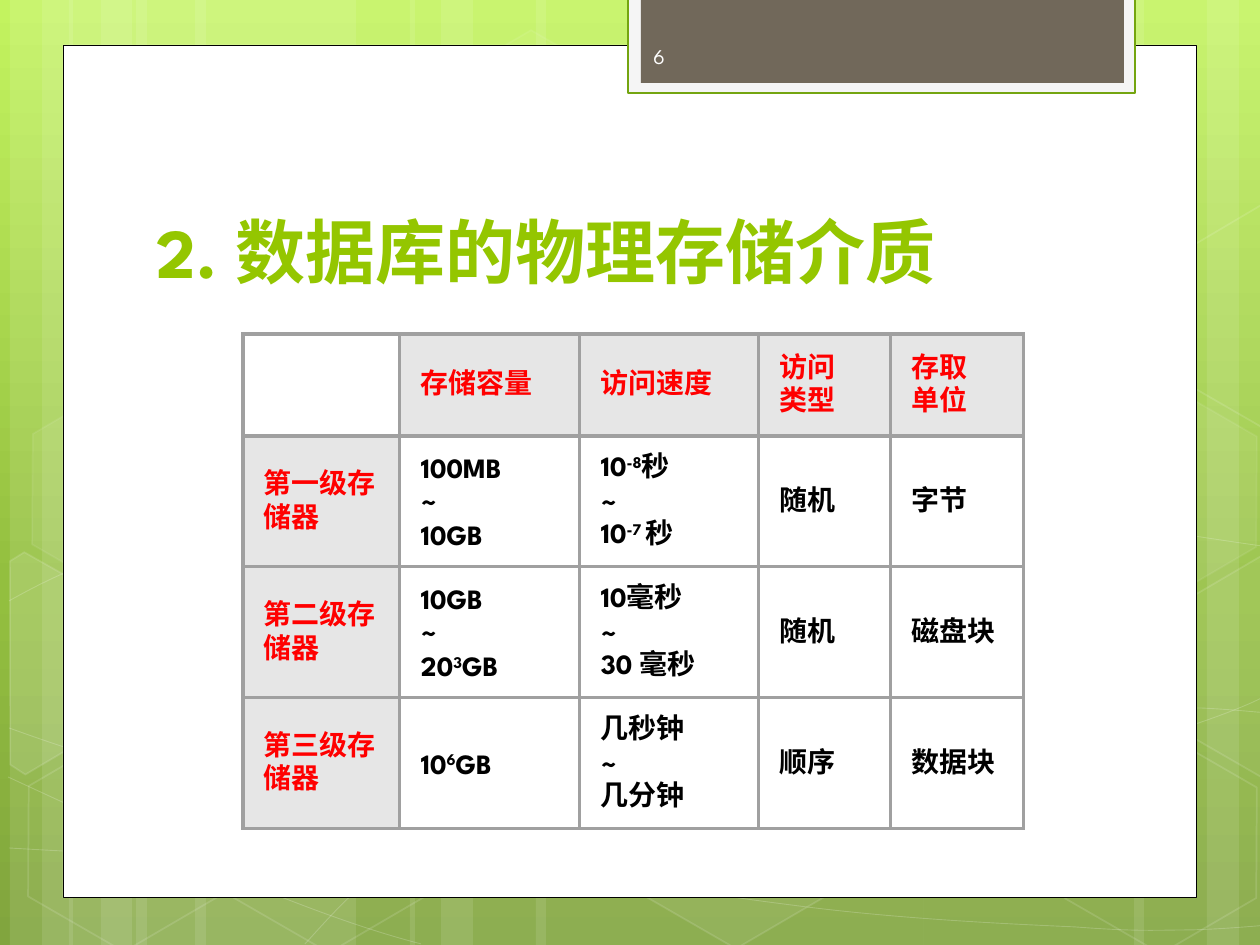
"""Builds the slide on physical storage media for databases."""
import math
from copy import deepcopy
from dataclasses import dataclass

from lxml import etree
from pptx import Presentation
from pptx import util as u
from pptx.dml.color import RGBColor
from pptx.enum import shapes, text
from pptx.oxml import ns

PX = 914400 // 126


@dataclass(frozen=True)
class Theme:
    """Colours, fonts and type sizes of the slide."""
    sky: tuple = ((0, "C3F35F"), (0.62, "93BF3F"), (1, "81A53E"))
    white: str = "FFFFFF"
    black: str = "000000"
    tab: str = "F5F5F5"
    tab_edge: str = "74A510"
    tab_core: str = "71685A"
    title: str = "94C600"
    number: str = "FEFEFE"
    label: str = "FF0000"
    label_fill: str = "E6E6E6"
    grid: str = "A0A0A0"
    font: str = "League Spartan"
    title_font: str = "Times New Roman"
    title_size: int = 40
    number_size: int = 12
    cell_size: int = 16
    cell_leading: float = 19.2


THEME = Theme()

STRIPES = [(136, 220), (10, 63), (42, 105), (195, 220), (69, 63), (101, 105),
           (924, 220), (1207, 63), (1134, 105), (536, 388), (410, 63), (441, 105)]

WAVES = [
    [(9, 848), (77, 852), (145, 856), (239, 854), (334, 853), (451, 850), (577, 838),
     (703, 825), (882, 801), (998, 777), (1113, 753), (1231, 716), (1269, 694)],
    [(9, 601), (45, 581), (82, 562), (152, 543), (224, 524), (326, 496), (437, 488),
     (549, 479), (685, 478), (824, 488), (963, 498), (1193, 537), (1269, 547)],
    [(8, 777), (159, 847), (311, 916), (421, 944)],
    [(9, 728), (48, 742), (88, 756), (161, 776), (234, 795), (344, 827), (450, 848),
     (554, 869), (687, 892), (791, 905), (896, 919), (1008, 924), (1075, 927),
     (1140, 932), (1158, 930), (1191, 930), (1223, 929), (1246, 927), (1269, 925)],
    [(305, 944), (328, 919), (350, 893), (381, 871), (411, 848), (454, 823), (489, 805),
     (524, 788), (546, 780), (592, 767), (638, 755), (722, 737), (766, 728),
     (811, 720), (818, 720), (857, 717), (896, 713), (958, 709), (1000, 708),
     (1045, 707), (1116, 708), (1116, 708), (1116, 708), (1201, 708), (1201, 708),
     (1223, 709), (1245, 711), (1256, 712), (1268, 713), (1264, 712), (1268, 713)],
]

TILT = 30
HEXAGONS = [(421, 45, 4, 8), (626, 742, 6, 12), (14, 745, 0, 12), (18, 393, 7, 8),
            (219, 746, 0, 12), (949, 571, 10, 12), (1051, 747, 0, 12), (1051, 396, 7, 8)]

CUT_HEXAGONS = [
    ((45, 674), [(10, 561), (24, 552), (121, 607), (120, 718), (25, 774), (10, 765)], 10),
    ((1241, 655),
     [(1167, 611), (1261, 556), (1271, 562), (1271, 772), (1263, 777), (1167, 722)], 4),
    ((1241, 304),
     [(1167, 261), (1261, 205), (1273, 212), (1271, 422), (1263, 427), (1167, 372)], 0),
]

COLUMNS = (157, 180, 179, 132, 133)
ROWS = (102, 131, 131, 131)
MEDIA = [
    ["", "存储容量", "访问速度", "访问\n类型", "存取\n单位"],
    ["第一级存储器", "100MB\n~\n10GB", "10^-8^秒\n~\n10^-7 ^秒", "随机", "字节"],
    ["第二级存储器", "10GB\n~\n20^3^GB", "10毫秒\n~\n30 毫秒", "随机", "磁盘块"],
    ["第三级存储器", "10^6^GB", "几秒钟\n~\n几分钟", "顺序", "数据块"],
]


def paint(fill, colour, opacity=100):
    """Fill with a solid colour at a percentage of opacity, or with nothing."""
    if not colour or not opacity:
        fill.background()
        return
    fill.solid()
    fill.fore_color.rgb = RGBColor.from_string(colour)
    if opacity < 100:
        tint = fill._xPr.find(ns.qn("a:solidFill"))[0]
        etree.SubElement(tint, ns.qn("a:alpha")).set("val", str(opacity * 1000))


def style(shape, fill, opacity=100, edge=None, width=1, edge_opacity=100):
    """Set the fill and outline of a shape and drop its shadow."""
    shape.shadow.inherit = False
    paint(shape.fill, fill, opacity)
    paint(shape.line.fill, edge, edge_opacity)
    if edge:
        shape.line.width = u.Pt(width)


def add_block(slide, box, fill, kind=shapes.MSO_SHAPE.RECTANGLE, **look):
    """Add a preset shape at a box given in px."""
    block = slide.shapes.add_shape(kind, *(n * PX for n in box))
    style(block, fill, **look)
    return block


def add_outline(slide, points, close, fill=None, **look):
    """Add a freeform through points given in px."""
    builder = slide.shapes.build_freeform(*points[0], scale=PX)
    builder.add_line_segments(points[1:], close=close)
    outline = builder.convert_to_shape()
    style(outline, fill, **look)
    return outline


def add_wave(slide, knots, **look):
    """Add an open chain of cubic curves, keeping straight stretches as lines."""
    wave = add_outline(slide, knots[::3], False, **look)
    track = next(wave._element.iter(ns.qn("a:path")))
    left, top = (min(knot[axis] for knot in knots[::3]) for axis in (0, 1))
    for index, stretch in enumerate(track.findall(ns.qn("a:lnTo"))):
        start, *controls = knots[3 * index:3 * index + 3]
        if controls[0] == start:
            continue
        stretch.tag = ns.qn("a:cubicBezTo")
        for place, (x, y) in enumerate(controls):
            control = etree.Element(ns.qn("a:pt"), x=str(x - left), y=str(y - top))
            stretch.insert(place, control)


def untilt(point, centre):
    """Turn a point back by the tilt around a centre."""
    x, y = point[0] - centre[0], point[1] - centre[1]
    cos, sin = math.cos(math.radians(TILT)), math.sin(math.radians(TILT))
    return round(centre[0] + x * cos + y * sin), round(centre[1] - x * sin + y * cos)


def add_run(paragraph, words, size, colour, font=THEME.font, bold=False, raised=False):
    """Add one run of text, superscript if raised."""
    run = paragraph.add_run()
    run.text = words
    run.font.size, run.font.bold, run.font.name = u.Pt(size), bold, font
    run.font.color.rgb = RGBColor.from_string(colour)
    if raised:
        run._r.get_or_add_rPr().set("baseline", "30000")


def add_words(slide, box, anchor):
    """Add a wrapping text box and return its first paragraph."""
    frame = slide.shapes.add_textbox(*(n * PX for n in box)).text_frame
    frame.word_wrap = True
    frame.vertical_anchor = anchor
    return frame.paragraphs[0]


def set_background(slide):
    """Lay the vertical green gradient behind the slide."""
    fill = slide.background.fill
    fill.gradient()
    fill.gradient_angle = 270
    stops = fill.gradient_stops._gsLst
    stops.insert(1, deepcopy(stops[0]))
    for stop, (position, colour) in zip(fill.gradient_stops, THEME.sky):
        stop.position = position
        stop.color.rgb = RGBColor.from_string(colour)


def add_decor(slide):
    """Add the translucent stripes, waves and hexagons."""
    white = THEME.white
    for left, width in STRIPES:
        add_block(slide, (left, 0, width, 945), white, opacity=10)
    for knots in WAVES:
        add_wave(slide, knots, edge=white, width=0.5, edge_opacity=20)
    for left, top, opacity, edge_opacity in HEXAGONS:
        hexagon = add_block(slide, (left, top, 220, 192), white, shapes.MSO_SHAPE.HEXAGON,
                            opacity=opacity, edge=white, edge_opacity=edge_opacity)
        hexagon.adjustments[0] = 0.285
        hexagon.rotation = TILT
    for centre, corners, opacity in CUT_HEXAGONS:
        upright = [untilt(corner, centre) for corner in corners]
        cut = add_outline(slide, upright, True, white, opacity=opacity,
                          edge=white, edge_opacity=12)
        cut.rotation = TILT


def add_borders(cell):
    """Draw the grey grid line on all four sides of a cell."""
    properties = cell._tc.get_or_add_tcPr()
    for side in ("lnL", "lnR", "lnT", "lnB"):
        line = etree.SubElement(properties, ns.qn(f"a:{side}"), w=str(u.Pt(2)))
        solid = etree.SubElement(line, ns.qn("a:solidFill"))
        etree.SubElement(solid, ns.qn("a:srgbClr"), val=THEME.grid)


def fill_cell(cell, words, is_label):
    """Write a cell, with superscripts between carets."""
    add_borders(cell)
    paint(cell.fill, THEME.label_fill if is_label and words else None)
    cell.margin_left = cell.margin_right = 21 * PX
    cell.vertical_anchor = text.MSO_ANCHOR.MIDDLE
    colour = THEME.label if is_label else THEME.black
    for index, line in enumerate(words.split("\n")):
        frame = cell.text_frame
        paragraph = frame.add_paragraph() if index else frame.paragraphs[0]
        paragraph.line_spacing = u.Pt(THEME.cell_leading)
        for part, piece in enumerate(line.split("^")):
            if piece:
                add_run(paragraph, piece, THEME.cell_size, colour, bold=True, raised=part % 2 == 1)


def add_media_table(slide):
    """Add the table that compares the three storage levels."""
    box = (243, 334, sum(COLUMNS), sum(ROWS))
    table = slide.shapes.add_table(len(ROWS), len(COLUMNS), *(n * PX for n in box)).table
    table.first_row = table.horz_banding = False
    for column, width in zip(table.columns, COLUMNS):
        column.width = width * PX
    for r, (row, height) in enumerate(zip(table.rows, ROWS)):
        row.height = height * PX
        for c, cell in enumerate(row.cells):
            fill_cell(cell, MEDIA[r][c], r == 0 or c == 0)


def main():
    """Build and save the slide."""
    deck = Presentation()
    deck.slide_width, deck.slide_height = u.Inches(10), u.Inches(7.5)
    slide = deck.slides.add_slide(deck.slide_layouts[6])
    set_background(slide)
    add_decor(slide)
    add_block(slide, (63, 45, 1134, 853), THEME.white, edge=THEME.black, width=0.5)
    add_block(slide, (628, -2, 507, 95), THEME.tab, edge=THEME.tab_edge, width=1.25)
    add_block(slide, (641, -2, 483, 85), THEME.tab_core)
    title = add_words(slide, (144, 141, 968, 158), text.MSO_ANCHOR.BOTTOM)
    for words, font in (("2. ", THEME.font), ("数据库的物理存储介质", THEME.title_font)):
        add_run(title, words, THEME.title_size, THEME.title, font, bold=True)
    number = add_words(slide, (641, 31, 184, 50), text.MSO_ANCHOR.MIDDLE)
    add_run(number, "6", THEME.number_size, THEME.number)
    add_media_table(slide)
    deck.save("out.pptx")


if __name__ == "__main__":
    main()
